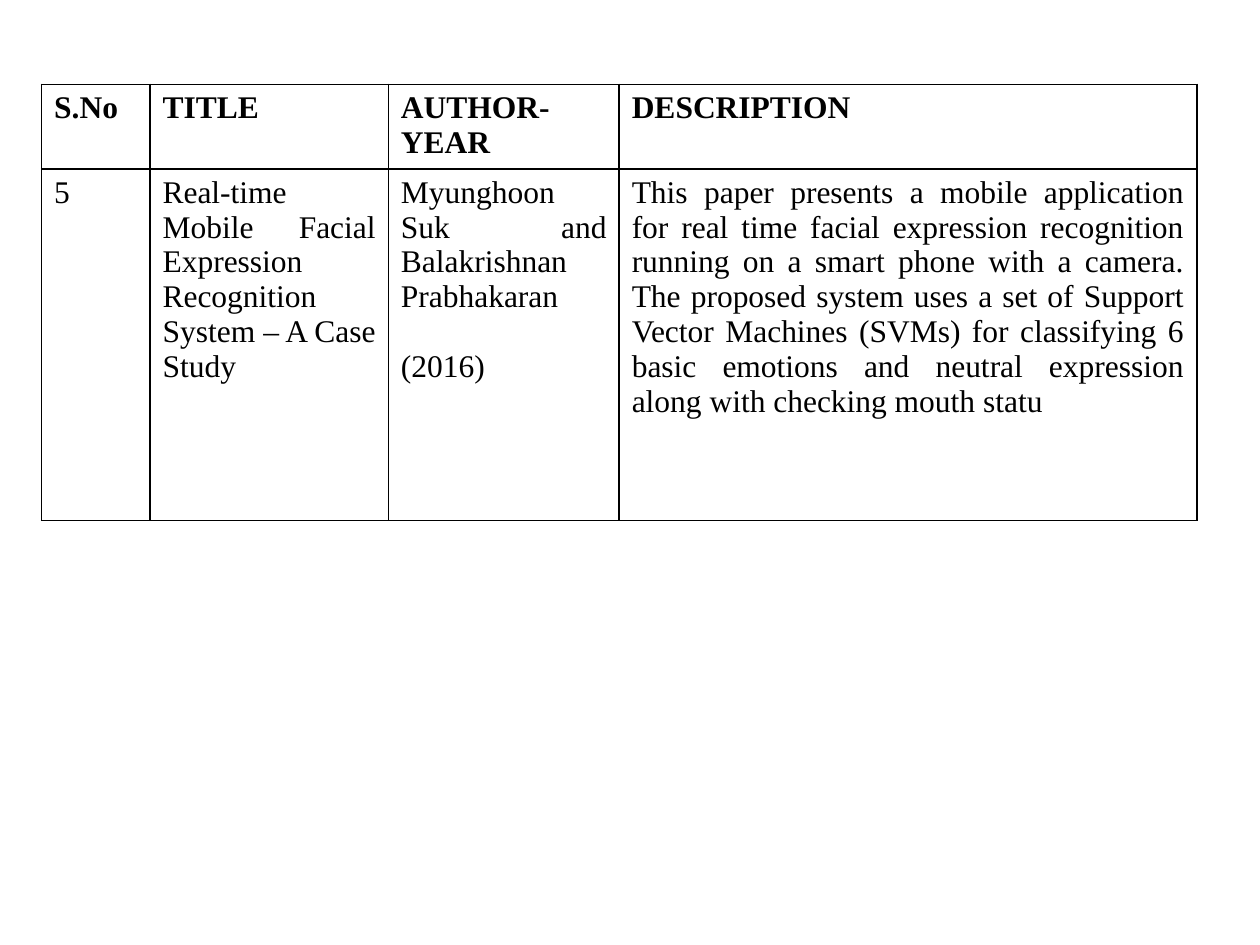
import dataclasses

import lxml.etree
import pptx
import pptx.dml.color
import pptx.enum.text
import pptx.oxml.ns
import pptx.util

Inches = pptx.util.Inches
Pt = pptx.util.Pt


@dataclasses.dataclass(frozen=True)
class Theme:
    ink: str = "000000"
    font: str = "Times New Roman"
    text_size: int = 18
    paragraph_gap: int = 20
    border_width: int = 1


THEME = Theme()
COLUMN_WIDTHS = (0.86, 1.89, 1.83, 4.58)
ROW_HEIGHTS = (0.67, 2.79)
PAPERS = (
    ("S.No", "TITLE", "AUTHOR-YEAR", "DESCRIPTION"),
    (
        "5",
        "Real-time Mobile Facial Expression Recognition System – A Case Study",
        "Myunghoon Suk and Balakrishnan Prabhakaran\n(2016)",
        "This paper presents a mobile application for real time facial expression "
        "recognition running on a smart phone with a camera. The proposed system "
        "uses a set of Support Vector Machines (SVMs) for classifying 6 basic "
        "emotions and neutral expression along with checking mouth statu",
    ),
)


def add_borders(cell):
    qualified = pptx.oxml.ns.qn
    properties = cell._tc.get_or_add_tcPr()
    for position, side in enumerate(("lnL", "lnR", "lnT", "lnB")):
        line = lxml.etree.Element(qualified(f"a:{side}"), w=str(Pt(THEME.border_width)))
        fill = lxml.etree.SubElement(line, qualified("a:solidFill"))
        lxml.etree.SubElement(fill, qualified("a:srgbClr"), val=THEME.ink)
        properties.insert(position, line)


def fill_cell(cell, text, bold):
    cell.fill.background()
    add_borders(cell)
    cell.text_frame.text = text
    for number, para in enumerate(cell.text_frame.paragraphs):
        para.alignment = pptx.enum.text.PP_ALIGN.JUSTIFY
        if number:
            para.space_before = Pt(THEME.paragraph_gap)
        for span in para.runs:
            span.font.name = THEME.font
            span.font.size = Pt(THEME.text_size)
            span.font.bold = bold
            span.font.color.rgb = pptx.dml.color.RGBColor.from_string(THEME.ink)


def add_literature_table(page, left, top, width, height):
    frame = page.shapes.add_table(
        len(PAPERS), len(COLUMN_WIDTHS),
        Inches(left), Inches(top), Inches(width), Inches(height),
    )
    table = frame.table
    table.first_row = False
    table.horz_banding = False
    for column, share in zip(table.columns, COLUMN_WIDTHS):
        column.width = Inches(width * share / sum(COLUMN_WIDTHS))
    for row, share in zip(table.rows, ROW_HEIGHTS):
        row.height = Inches(height * share / sum(ROW_HEIGHTS))
    for row_number, texts in enumerate(PAPERS):
        for column_number, text in enumerate(texts):
            fill_cell(table.cell(row_number, column_number), text, row_number == 0)


def build_deck():
    deck = pptx.Presentation()
    deck.slide_width = Inches(10)
    deck.slide_height = Inches(7.5)
    page = deck.slides.add_slide(deck.slide_layouts[6])
    add_literature_table(page, 0.33, 0.67, 9.17, 3.46)
    deck.save("out.pptx")


build_deck()
